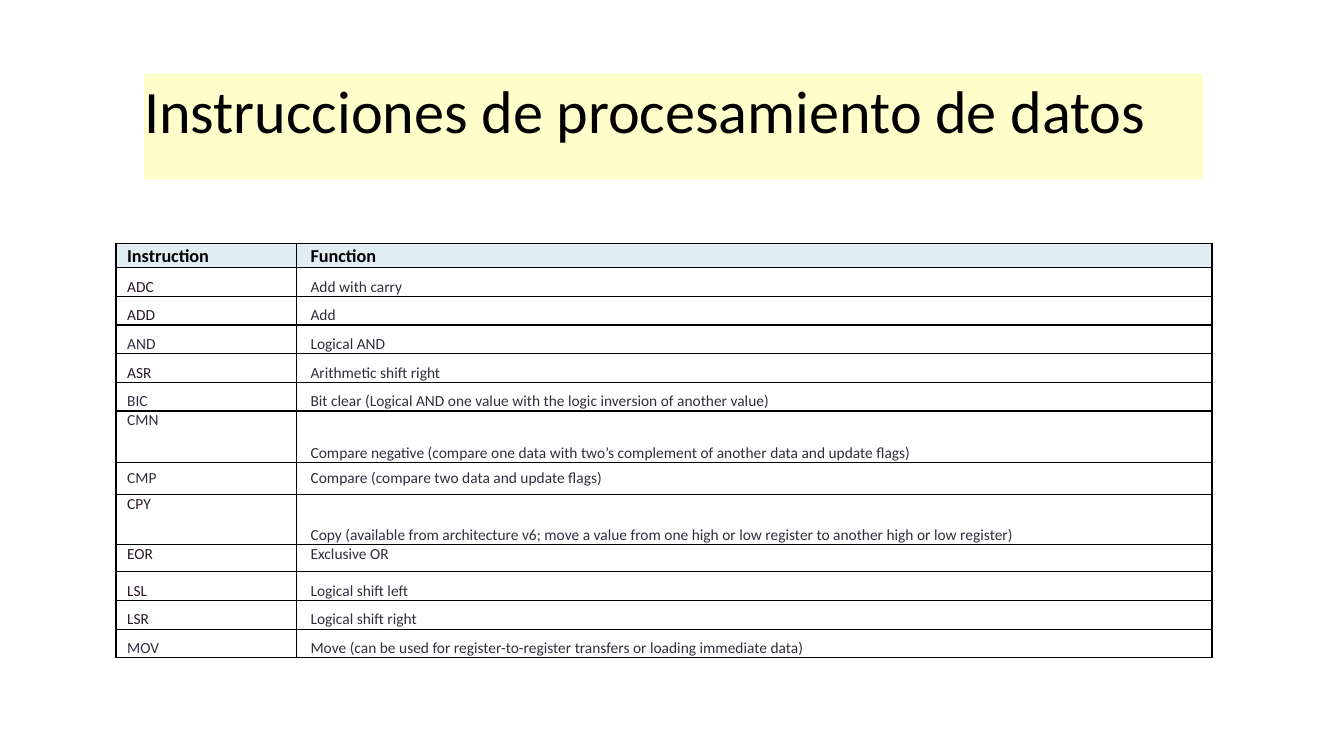
from dataclasses import dataclass
from typing import Any

from lxml import etree
from pptx import Presentation
from pptx import util as u
from pptx.dml import color
from pptx.enum import text
from pptx.oxml import ns

WIDE, HIGH = u.Inches(13.33), u.Inches(7.5)
FONT = "Calibri"
HUES = {"black": "000000", "cream": "FFFFCB", "ice": "E0EDF2",
        "plum": "2A1726", "slate": "332D3A"}
TOP, MID, LOW = (text.MSO_ANCHOR.TOP, text.MSO_ANCHOR.MIDDLE,
                 text.MSO_ANCHOR.BOTTOM)
COLS = (13.43, 68.12)  # shares of the slide's width, in percent
PADS = (0.83, 1.05)


@dataclass(frozen=True)
class Row:
    code: str
    task: str
    high: float = 3.8  # share of the slide's height, in percent
    hue: str = "plum"
    anchors: tuple = (LOW, LOW)
    pitch: float | None = None  # line spacing of the task, in points
    head: bool = False


ROWS = (
    Row("Instruction", "Function", 3.2, "black", head=True),
    Row("ADC", "Add with carry"),
    Row("ADD", "Add"),
    Row("AND", "Logical AND", hue="slate"),
    Row("ASR", "Arithmetic shift right"),
    Row("BIC", "Bit clear (Logical AND one value with the logic inversion "
        "of another value)", hue="slate"),
    Row("CMN", "Compare negative (compare one data with two’s complement of "
        "another data and update flags)", 6.8, "slate", (TOP, LOW), 18.7),
    Row("CMP", "Compare (compare two data and update flags)", 4.27, "slate",
        (MID, MID)),
    Row("CPY", "Copy (available from architecture v6; move a value from one "
        "high or low register to another high or low register)", 6.6,
        anchors=(TOP, LOW), pitch=18.7),
    Row("EOR", "Exclusive OR", 3.6, anchors=(TOP, TOP)),
    Row("LSL", "Logical shift left"),
    Row("LSR", "Logical shift right"),
    Row("MOV", "Move (can be used for register-to-register transfers or "
        "loading immediate data)", hue="slate"),
)


def across(share: float) -> int:
    return round(WIDE * share / 100)


def down(share: float) -> int:
    return round(HIGH * share / 100)


def apply(item: Any, form: dict[str, Any]) -> None:
    for name, value in form.items():
        setattr(item, name, value)


def paint(item: Any, hue: str) -> None:
    item.fill.solid()
    item.fill.fore_color.rgb = color.RGBColor.from_string(HUES[hue])


def write(para: Any, words: str, size: float, hue: str,
          bold: bool = False) -> None:
    run = para.add_run()
    run.text = words
    apply(run.font, {"name": FONT, "size": u.Pt(size), "bold": bold})
    run.font.color.rgb = color.RGBColor.from_string(HUES[hue])


def frame(cell: Any) -> None:
    """Draw a thin black line on each side of the cell."""
    props = cell._tc.get_or_add_tcPr()
    for spot, side in enumerate(("lnL", "lnR", "lnT", "lnB")):
        line = etree.Element(ns.qn(f"a:{side}"), w=str(u.Pt(1)))
        fill = etree.SubElement(line, ns.qn("a:solidFill"))
        etree.SubElement(fill, ns.qn("a:srgbClr"), val=HUES["black"])
        props.insert(spot, line)


def draw_title(slide: Any, words: str) -> None:
    title = slide.shapes.title
    apply(title, {"left": across(10.73), "top": down(9.73),
                  "width": across(78.77), "height": down(14)})
    paint(title, "cream")
    body = title.text_frame
    apply(body, {"margin_left": 0, "margin_right": 0, "margin_top": 0,
                 "margin_bottom": 0, "vertical_anchor": TOP,
                 "word_wrap": True, "auto_size": text.MSO_AUTO_SIZE.NONE})
    para = body.paragraphs[0]
    apply(para, {"alignment": text.PP_ALIGN.LEFT, "space_after": u.Pt(14.8)})
    write(para, words, 43, "black")


def fill_cell(cell: Any, row: Row, col: int) -> None:
    apply(cell, {"margin_left": across(PADS[col]), "margin_right": 0,
                 "margin_top": 0, "margin_bottom": 0,
                 "vertical_anchor": row.anchors[col]})
    if row.head:
        paint(cell, "ice")
    else:
        cell.fill.background()
    frame(cell)
    para = cell.text_frame.paragraphs[0]
    if col and row.pitch:
        para.line_spacing = u.Pt(row.pitch)
    hue = "slate" if col and not row.head else row.hue
    write(para, (row.code, row.task)[col], 13 if row.head else 11, hue,
          row.head)


def draw_table(slide: Any) -> None:
    table = slide.shapes.add_table(
        len(ROWS), len(COLS), across(8.63), down(32.2), across(sum(COLS)),
        down(sum(row.high for row in ROWS))).table
    apply(table, {"first_row": False, "horz_banding": False})
    for col, share in enumerate(COLS):
        table.columns[col].width = across(share)
    for line, row in enumerate(ROWS):
        table.rows[line].height = down(row.high)
        for col in range(len(COLS)):
            fill_cell(table.cell(line, col), row, col)


def main() -> None:
    deck = Presentation()
    apply(deck, {"slide_width": WIDE, "slide_height": HIGH})
    slide = deck.slides.add_slide(deck.slide_layouts.get_by_name("Title Only"))
    draw_title(slide, "Instrucciones de procesamiento de datos")
    draw_table(slide)
    deck.save("out.pptx")


if __name__ == "__main__":
    main()
